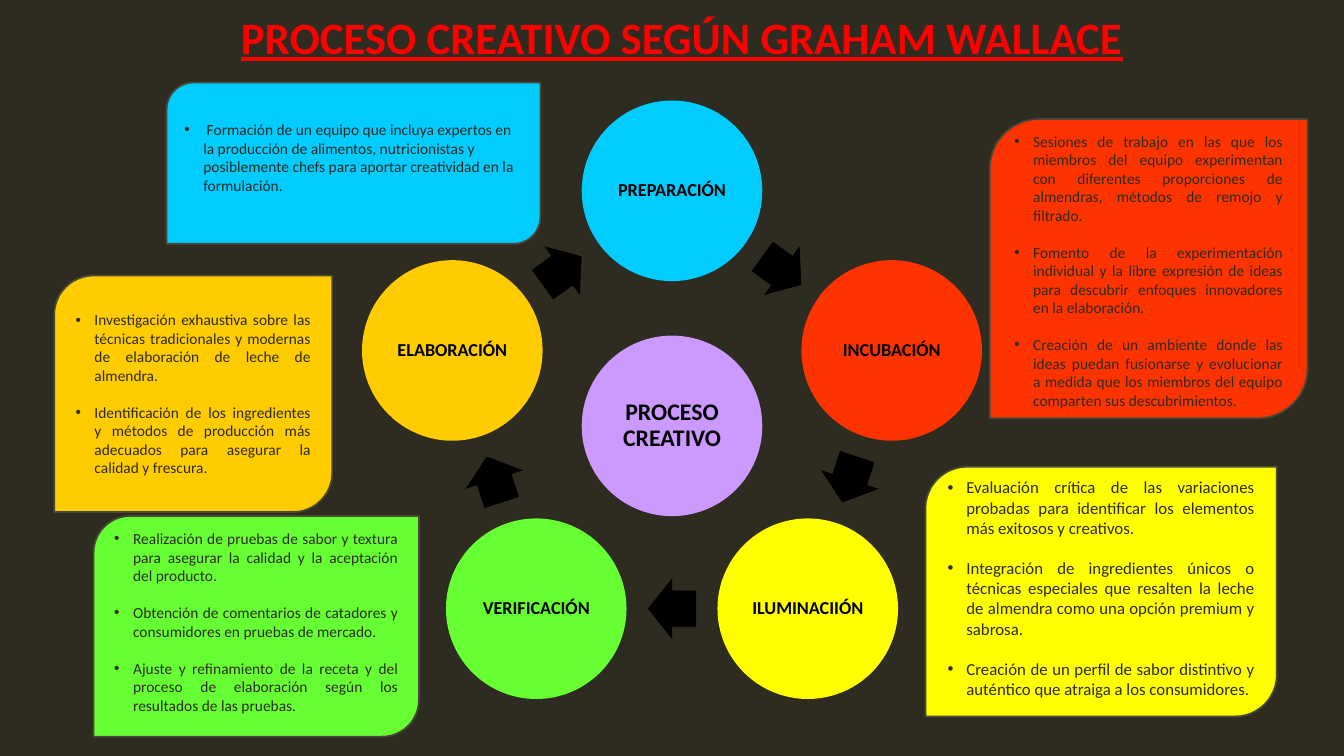
"""Builds a slide on the five-stage creative process cycle with its explanatory cards."""
from math import cos, radians, sin

from lxml import etree
from pptx import Presentation
from pptx.dml.color import RGBColor
from pptx.enum.shapes import MSO_SHAPE
from pptx.enum.text import MSO_ANCHOR, PP_ALIGN
from pptx.oxml.ns import qn
from pptx.util import Pt

COLORS = {
    "background": "2E2B21", "title": "FF0000", "black": "000000", "border": "4A4836",
    "blue": "00CCFF", "red": "FF3300", "yellow": "FFFF00", "green": "66FF33",
    "gold": "FFCC00", "violet": "CC99FF",
}
FONT = "Calibri"
CENTER_X, CENTER_Y, RING_RADIUS = 480, 301.3, 165
CIRCLE = 129
ARROW_WIDTH, ARROW_HEIGHT = 34.5, 43.2

STAGES = [
    ("PREPARACIÓN", "blue"), ("INCUBACIÓN", "red"), ("ILUMINACIIÓN", "yellow"),
    ("VERIFICACIÓN", "green"), ("ELABORACIÓN", "gold"),
]

CARDS = [
    ("blue", (119, 59, 267, 115.2), 11, PP_ALIGN.LEFT, -8.6, [
        " Formación de un equipo que incluya expertos en la producción de alimentos, nutricionistas "
        "y posiblemente chefs para aportar creatividad en la formulación.",
    ]),
    ("red", (707, 85, 227, 213.8), 11, PP_ALIGN.JUSTIFY, 2.9, [
        "Sesiones de trabajo en las que los miembros del equipo experimentan con diferentes "
        "proporciones de almendras, métodos de remojo y filtrado.",
        "Fomento de la experimentación individual y la libre expresión de ideas para descubrir "
        "enfoques innovadores en la elaboración.",
        "Creación de un ambiente donde las ideas puedan fusionarse y evolucionar a medida que los "
        "miembros del equipo comparten sus descubrimientos.",
    ]),
    ("yellow", (661, 333.4, 251, 178.4), 12, PP_ALIGN.JUSTIFY, -5, [
        "Evaluación crítica de las variaciones probadas para identificar los elementos más "
        "exitosos y creativos.",
        "Integración de ingredientes únicos o técnicas especiales que resalten la leche de "
        "almendra como una opción premium y sabrosa.",
        "Creación de un perfil de sabor distintivo y auténtico que atraiga a los consumidores.",
    ]),
    ("gold", (38.7, 196.8, 198.7, 169), 11, PP_ALIGN.JUSTIFY, 0, [
        "Investigación exhaustiva sobre las técnicas tradicionales y modernas de elaboración de "
        "leche de almendra.",
        "Identificación de los ingredientes y métodos de producción más adecuados para asegurar "
        "la calidad y frescura.",
    ]),
    ("green", (66.8, 368.6, 232.4, 157.6), 11, PP_ALIGN.JUSTIFY, -6.4, [
        "Realización de pruebas de sabor y textura para asegurar la calidad y la aceptación del "
        "producto.",
        "Obtención de comentarios de catadores y consumidores en pruebas de mercado.",
        "Ajuste y refinamiento de la receta y del proceso de elaboración según los resultados de "
        "las pruebas.",
    ]),
]

presentation = Presentation()
presentation.slide_width, presentation.slide_height = Pt(960), Pt(540)
slide = presentation.slides.add_slide(presentation.slide_layouts[6])
slide.background.fill.solid()
slide.background.fill.fore_color.rgb = RGBColor.from_string(COLORS["background"])


def add_filled(kind, left, top, width, height, color):
    shape = slide.shapes.add_shape(kind, Pt(left), Pt(top), Pt(width), Pt(height))
    shape.shadow.inherit = False
    shape.fill.solid()
    shape.fill.fore_color.rgb = RGBColor.from_string(COLORS[color])
    shape.line.fill.background()
    shape.text_frame.word_wrap = True
    shape.text_frame.vertical_anchor = MSO_ANCHOR.MIDDLE
    return shape


def write(paragraph, text, size, color, bold=False):
    paragraph.text = text
    font = paragraph.font
    font.name, font.size, font.bold = FONT, Pt(size), bold
    font.color.rgb = RGBColor.from_string(COLORS[color])


circles = [("PROCESO CREATIVO", "violet", 17, CENTER_X, 304.2)]
for index, (name, color) in enumerate(STAGES):
    angle = radians(72 * index - 90)
    circles.append((name, color, 13, CENTER_X + RING_RADIUS * cos(angle),
                    CENTER_Y + RING_RADIUS * sin(angle)))

    arrow_angle = angle + radians(36)
    arrow_distance = RING_RADIUS * cos(radians(36))
    arrow = add_filled(
        MSO_SHAPE.RIGHT_ARROW,
        CENTER_X + arrow_distance * cos(arrow_angle) - ARROW_WIDTH / 2,
        CENTER_Y + arrow_distance * sin(arrow_angle) - ARROW_HEIGHT / 2,
        ARROW_WIDTH, ARROW_HEIGHT, "black")
    arrow.adjustments[0], arrow.adjustments[1] = 0.6, 0.5
    arrow.rotation = 36 + 72 * index

for name, color, size, x, y in circles:
    circle = add_filled(MSO_SHAPE.OVAL, x - CIRCLE / 2, y - CIRCLE / 2, CIRCLE, CIRCLE, color)
    frame = circle.text_frame
    frame.margin_left = frame.margin_right = frame.margin_top = frame.margin_bottom = Pt(1.5)
    paragraph = frame.paragraphs[0]
    paragraph.alignment = PP_ALIGN.CENTER
    paragraph.line_spacing = 0.9
    write(paragraph, name, size, "black", bold=True)

title = slide.shapes.add_textbox(Pt(165), Pt(3.6), Pt(679), Pt(46))
title.text_frame.word_wrap = False
title_paragraph = title.text_frame.paragraphs[0]
write(title_paragraph, "PROCESO CREATIVO SEGÚN GRAHAM WALLACE", 32, "title", bold=True)
title_paragraph.font.underline = True

for color, box, size, alignment, shift, items in CARDS:
    card = add_filled(MSO_SHAPE.ROUND_2_DIAG_RECTANGLE, *box, color)
    card.line.color.rgb = RGBColor.from_string(COLORS["border"])
    card.line.width = Pt(1.25)
    frame = card.text_frame
    frame.margin_top = Pt(3.6 + max(shift, 0))
    frame.margin_bottom = Pt(3.6 + max(-shift, 0))
    for index, item in enumerate(items):
        paragraph = frame.add_paragraph() if index else frame.paragraphs[0]
        paragraph.alignment = alignment
        if index:
            paragraph.space_before = Pt(size * 1.2)
        properties = paragraph._p.get_or_add_pPr()
        properties.set("marL", str(Pt(13.5)))
        properties.set("indent", str(-Pt(13.5)))
        etree.SubElement(properties, qn("a:buFont")).set("typeface", "Arial")
        etree.SubElement(properties, qn("a:buChar")).set("char", "•")
        write(paragraph, item, size, "background")

presentation.save("out.pptx")
